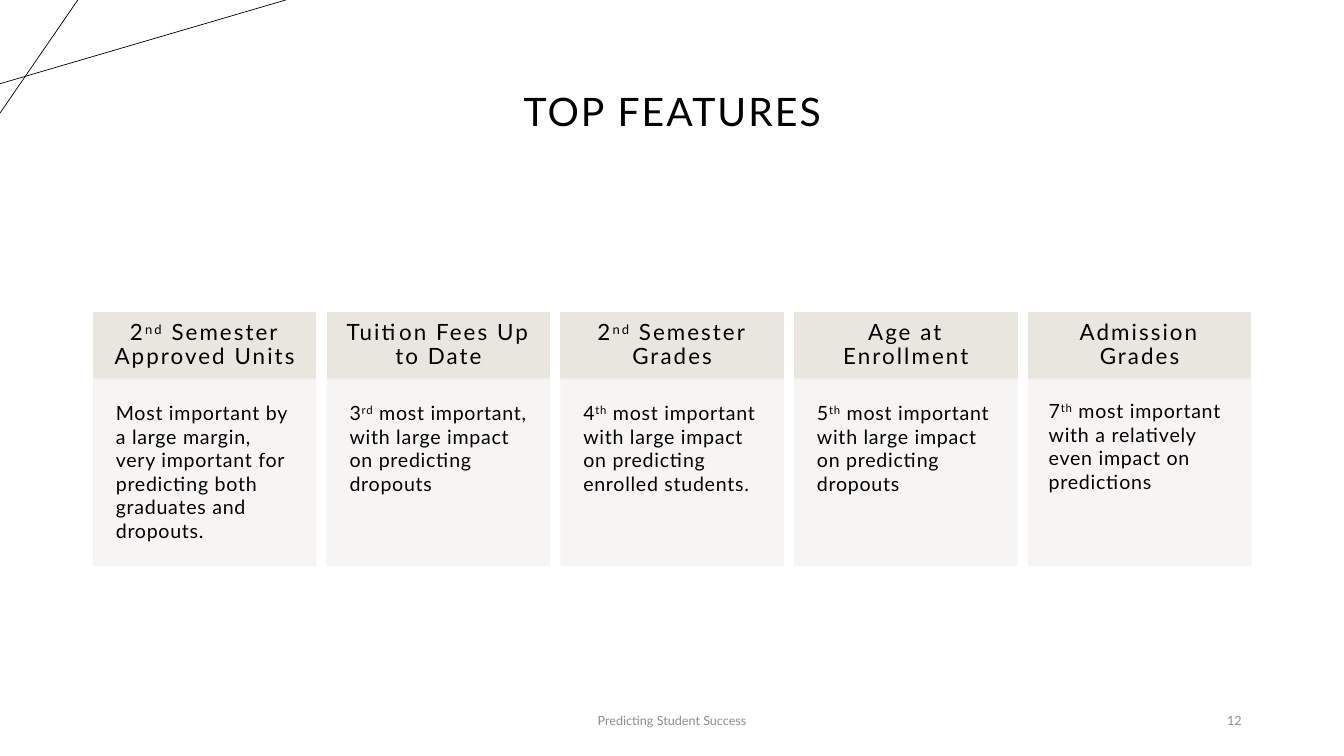
from lxml import etree
from pptx import Presentation
from pptx.dml.color import RGBColor
from pptx.enum.shapes import MSO_CONNECTOR, MSO_SHAPE
from pptx.enum.text import MSO_ANCHOR, PP_ALIGN
from pptx.oxml.ns import qn
from pptx.util import Cm, Pt

LEFT, CENTER, RIGHT = PP_ALIGN.LEFT, PP_ALIGN.CENTER, PP_ALIGN.RIGHT
TOP, MIDDLE = MSO_ANCHOR.TOP, MSO_ANCHOR.MIDDLE
RECT, STRAIGHT = MSO_SHAPE.RECTANGLE, MSO_CONNECTOR.STRAIGHT

COLORS = {"ink": "000000", "head": "E9E6DF", "body": "F7F5F3", "muted": "8C8C8C"}

FEATURES = [
    (["2", "nd", " Semester Approved Units"],
     ["Most important by a large margin, very important for predicting both "
      "graduates and dropouts."], 0.56),
    (["Tuition Fees Up to Date"],
     ["3", "rd", " most important, with large impact on predicting dropouts"], 0.56),
    (["2", "nd", " Semester Grades"],
     ["4", "th", " most important with large impact on predicting enrolled students."], 0.56),
    (["Age at Enrollment"],
     ["5", "th", " most important with large impact on predicting dropouts"], 0.56),
    (["Admission Grades"],
     ["7", "th", " most important with a relatively even impact on predictions"], 0.51),
]


class SlideBuilder:
    font = "Lato"

    def __init__(self, slide):
        self.slide = slide

    def color(self, name):
        return RGBColor.from_string(COLORS[name])

    def line(self, x1, y1, x2, y2):
        s = self.slide.shapes.add_connector(STRAIGHT, Cm(x1), Cm(y1), Cm(x2), Cm(y2))
        s.line.color.rgb = self.color("ink")
        s.line.width = Pt(0.5)
        etree.SubElement(s._element.spPr, qn("a:effectLst"))

    def fill_text(self, s, parts, size, color="ink", align=LEFT, anchor=TOP,
                  inset=None, tracking=0, spacing=1.0):
        tf = s.text_frame
        tf.word_wrap = True
        tf.vertical_anchor = anchor
        if inset is not None:
            tf.margin_left = tf.margin_right = Cm(inset)
            tf.margin_top = tf.margin_bottom = Cm(inset)
        p = tf.paragraphs[0]
        p.alignment = align
        p.line_spacing = spacing
        for i, part in enumerate(parts):
            r = p.add_run()
            r.text = part
            r.font.name = self.font
            r.font.size = Pt(size)
            r.font.color.rgb = self.color(color)
            rPr = r._r.get_or_add_rPr()
            rPr.set("spc", str(int(tracking * 100)))
            if i == 1:
                rPr.set("baseline", "30000")

    def text(self, x, y, w, h, text, size, **style):
        s = self.slide.shapes.add_textbox(Cm(x), Cm(y), Cm(w), Cm(h))
        self.fill_text(s, [text], size, anchor=MIDDLE, **style)

    def panel(self, x, y, w, h, fill, parts, size, opacity=100, **style):
        s = self.slide.shapes.add_shape(RECT, Cm(x), Cm(y), Cm(w), Cm(h))
        s.shadow.inherit = False
        s.fill.solid()
        s.fill.fore_color.rgb = self.color(fill)
        s.line.color.rgb = self.color(fill)
        s.line.width = Pt(1)
        if opacity < 100:
            for clr in s._element.spPr.iter(qn("a:srgbClr")):
                etree.SubElement(clr, qn("a:alpha")).set("val", str(opacity * 1000))
        self.fill_text(s, parts, size, **style)


def main():
    prs = Presentation()
    prs.slide_width, prs.slide_height = Cm(33.87), Cm(19.05)
    b = SlideBuilder(prs.slides.add_slide(prs.slide_layouts[6]))

    b.line(0, 2.11, 7.2, 0)
    b.line(1.96, 0, 0, 2.85)
    b.text(2.34, 1.02, 29.21, 3.68, "TOP FEATURES", 28,
           align=CENTER, tracking=1.5, spacing=0.9)

    left, pitch, width = 2.36, 5.89, 5.6
    top, head_h, body_h = 7.87, 1.68, 4.7
    for i, (head, body, inset) in enumerate(FEATURES):
        x = left + i * pitch
        b.panel(x, top, width, head_h, "head", head, 16, align=CENTER,
                anchor=MIDDLE, inset=0.43, tracking=1.5, spacing=0.9)
        b.panel(x, top + head_h, width, body_h, "body", body, 14, opacity=90,
                inset=inset, tracking=0.5)

    b.text(11.22, 17.65, 11.43, 1.02, "Predicting Student Success", 9,
           color="muted", align=CENTER)
    b.text(23.92, 17.65, 7.62, 1.02, "12", 9, color="muted", align=RIGHT)

    prs.save("out.pptx")


if __name__ == "__main__":
    main()
